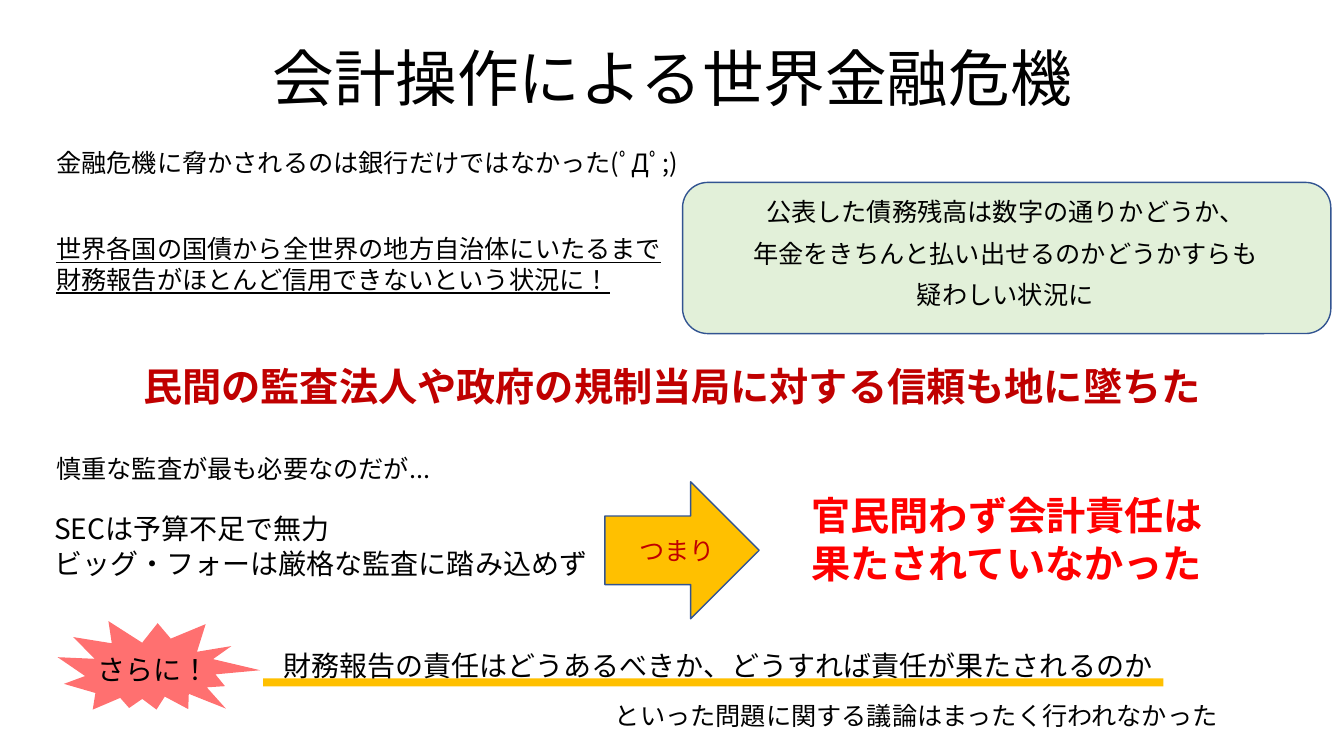
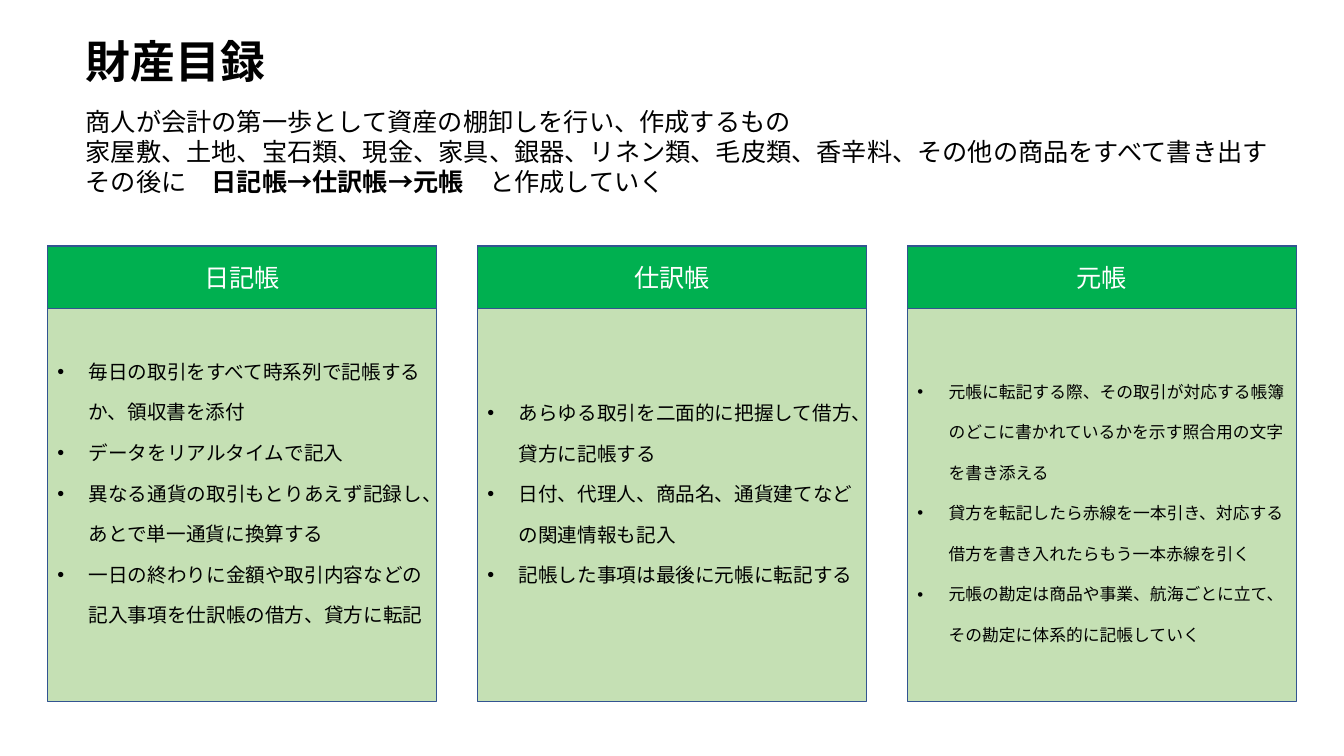
from dataclasses import dataclass
from typing import Optional

from lxml.etree import SubElement
from pptx import Presentation
from pptx.dml.color import RGBColor
from pptx.enum.shapes import MSO_SHAPE as Preset
from pptx.enum.text import MSO_ANCHOR as Anchor, MSO_AUTO_SIZE as AutoSize, PP_ALIGN as Align
from pptx.oxml.ns import qn
from pptx.util import Inches, Pt

FONT = "Noto Sans CJK JP"
BLACK, WHITE = "000000", "FFFFFF"
OUTLINE, AMBER = "325491", "FFC000"
DARK_RED, RED = "C00000", "FF0000"
PALE_GREEN, LIGHT_GREEN, GREEN = "E2F0D9", "C5E0B4", "00B050"
TITLE_AND_CONTENT = 1
LINE_RATIO = 1.22
LIST_INDENT = 0.31


@dataclass(frozen=True)
class Area:
    """Left, top, width and height in inches."""

    left: float
    top: float
    width: float
    height: float


@dataclass(frozen=True)
class Style:
    """Look of the paragraphs in one frame."""

    size: float = 18
    color: str = BLACK
    bold: bool = False
    underline: bool = False
    align: Align = Align.LEFT
    anchor: Anchor = Anchor.TOP
    leading: Optional[float] = None
    before: float = 0
    bulleted: bool = False


@dataclass(frozen=True)
class Note:
    """A text box with its lines."""

    area: Area
    lines: tuple[str, ...]
    style: Style = Style()


@dataclass(frozen=True)
class Book:
    """One account book: its name and its list."""

    name: str
    list_top: float
    list_height: float
    size: float
    items: tuple[str, ...]


LABEL = Style(align=Align.CENTER, anchor=Anchor.MIDDLE, color=WHITE)

CRISIS_NOTES = (
    Note(Area(0.46, 1.41, 7.18, 0.4), ("金融危機に脅かされるのは銀行だけではなかった(ﾟДﾟ;)",)),
    Note(
        Area(0.46, 2.26, 6.43, 0.71),
        ("世界各国の国債から全世界の地方自治体にいたるまで", "財務報告がほとんど信用できないという状況に！"),
        Style(underline=True),
    ),
    Note(
        Area(0, 3.54, 13.33, 0.57),
        ("民間の監査法人や政府の規制当局に対する信頼も地に墜ちた",),
        Style(28, DARK_RED, bold=True, align=Align.CENTER),
    ),
    Note(Area(0.46, 4.44, 4.09, 0.4), ("慎重な監査が最も必要なのだが...",)),
    Note(
        Area(2.71, 6.38, 8.93, 0.44),
        ("財務報告の責任はどうあるべきか、どうすれば責任が果たされるのか",),
        Style(20),
    ),
    Note(
        Area(0.44, 5.01, 5.56, 0.77),
        ("SECは予算不足で無力", "ビッグ・フォーは厳格な監査に踏み込めず"),
        Style(20, leading=25),
    ),
    Note(
        Area(7.95, 4.82, 4.51, 1.04),
        ("官民問わず会計責任は", "果たされていなかった"),
        Style(28, RED, bold=True),
    ),
    Note(Area(0.87, 6.42, 1.39, 0.44), ("さらに！",), Style(20)),
    Note(Area(6, 6.89, 6.34, 0.4), ("といった問題に関する議論はまったく行われなかった",)),
)

BOOKS = (
    Book("日記帳", 3.35, 2.95, 14, (
        "毎日の取引をすべて時系列で記帳するか、領収書を添付",
        "データをリアルタイムで記入",
        "異なる通貨の取引もとりあえず記録し、あとで単一通貨に換算する",
        "一日の終わりに金額や取引内容などの記入事項を仕訳帳の借方、貸方に転記",
    )),
    Book("仕訳帳", 3.76, 2.13, 14, (
        "あらゆる取引を二面的に把握して借方、貸方に記帳する",
        "日付、代理人、商品名、通貨建てなどの関連情報も記入",
        "記帳した事項は最後に元帳に転記する",
    )),
    Book("元帳", 3.53, 2.95, 12, (
        "元帳に転記する際、その取引が対応する帳簿のどこに書かれているかを示す照合用の文字を書き添える",
        "貸方を転記したら赤線を一本引き、対応する借方を書き入れたらもう一本赤線を引く",
        "元帳の勘定は商品や事業、航海ごとに立て、その勘定に体系的に記帳していく",
    )),
)


def rgb(code: str) -> RGBColor:
    """Turn a hex string into a colour."""
    return RGBColor.from_string(code)


def bounds(area: Area) -> tuple:
    """Give the four lengths of an area."""
    return Inches(area.left), Inches(area.top), Inches(area.width), Inches(area.height)


def format_span(span, style: Style, bold: bool) -> None:
    """Set the font of one run, for Latin and Japanese alike."""
    font = span.font
    font.name, font.size = FONT, Pt(style.size)
    font.bold, font.underline = bold, style.underline
    font.color.rgb = rgb(style.color)
    properties = font._element
    properties.set("lang", "ja-JP")
    SubElement(properties, qn("a:ea")).set("typeface", FONT)


def set_bullet(para, bulleted: bool) -> None:
    """Give a paragraph a hanging bullet, or none."""
    properties = para._p.get_or_add_pPr()
    indent = Inches(LIST_INDENT) if bulleted else 0
    properties.set("marL", str(indent))
    properties.set("indent", str(-indent))
    if bulleted:
        SubElement(properties, qn("a:buFont")).set("typeface", "Arial")
        SubElement(properties, qn("a:buChar")).set("char", "•")
    else:
        SubElement(properties, qn("a:buNone"))


def write_text(frame, lines: tuple[str, ...], style: Style) -> None:
    """Write one paragraph a line; bars enclose bold words."""
    frame.word_wrap = True
    frame.auto_size = AutoSize.NONE
    frame.vertical_anchor = style.anchor
    frame.text = "\n".join(line.split("|")[0] for line in lines)
    for para, line in zip(frame.paragraphs, lines):
        para.alignment = style.align
        para.line_spacing = Pt(style.leading or style.size * LINE_RATIO)
        para.space_before, para.space_after = Pt(style.before), Pt(0)
        set_bullet(para, style.bulleted)
        for part in line.split("|")[1:]:
            para.add_run().text = part
        for index, span in enumerate(para.runs):
            format_span(span, style, style.bold or index % 2 == 1)


def add_note(page, note: Note) -> None:
    """Draw a text box."""
    box = page.shapes.add_textbox(*bounds(note.area))
    write_text(box.text_frame, note.lines, note.style)


def fill_placeholder(page, box, note: Note) -> None:
    """Move a placeholder to the front and write its text."""
    box.left, box.top, box.width, box.height = bounds(note.area)
    page.shapes._spTree.append(box._element)
    write_text(box.text_frame, note.lines, note.style)


def add_box(page, preset: Preset, area: Area, fill: str, line: Optional[str] = OUTLINE):
    """Draw a filled preset shape without shadow."""
    box = page.shapes.add_shape(preset, *bounds(area))
    box.shadow.inherit = False
    box.fill.solid()
    box.fill.fore_color.rgb = rgb(fill)
    if line:
        box.line.color.rgb = rgb(line)
        box.line.width = Pt(1)
    else:
        box.line.fill.background()
    return box


def set_opacity(box, percent: int) -> None:
    """Make a solid fill see-through."""
    color = box._element.spPr.find(qn("a:solidFill"))[0]
    SubElement(color, qn("a:alpha")).set("val", str(percent * 1000))


def build_crisis_page(deck) -> None:
    """Build the slide on the financial crisis."""
    page = deck.slides.add_slide(deck.slide_layouts[TITLE_AND_CONTENT])
    add_box(page, Preset.ROUNDED_RECTANGLE, Area(6.77, 1.81, 6.43, 1.5), PALE_GREEN)
    fill_placeholder(page, page.shapes.title, Note(
        Area(0.92, 0.27, 11.5, 0.95),
        ("会計操作による世界金融危機",),
        Style(44, align=Align.CENTER, anchor=Anchor.MIDDLE, leading=55),
    ))
    fill_placeholder(page, page.placeholders[1], Note(
        Area(6.82, 1.93, 6.3, 1.28),
        ("公表した債務残高は数字の通りかどうか、", "年金をきちんと払い出せるのかどうかすらも", "疑わしい状況に"),
        Style(align=Align.CENTER, leading=19.5, before=10),
    ))
    add_box(page, Preset.RECTANGLE, Area(2.61, 6.73, 8.93, 0.08), AMBER, None)
    arrow = add_box(page, Preset.RIGHT_ARROW, Area(6, 4.78, 1.53, 1.36), AMBER)
    write_text(arrow.text_frame, ("つまり",),
               Style(color=DARK_RED, align=Align.RIGHT, anchor=Anchor.MIDDLE))
    burst = add_box(page, Preset.EXPLOSION2, Area(0.57, 6.1, 1.99, 1.07), RED, None)
    burst.rotation = 12.5
    set_opacity(burst, 56)
    for note in CRISIS_NOTES:
        add_note(page, note)


def add_book(page, book: Book, left: float) -> None:
    """Draw one account book as a headed panel."""
    top, width = 2.44, 3.86
    add_box(page, Preset.RECTANGLE, Area(left, top, width, 4.52), LIGHT_GREEN)
    header = add_box(page, Preset.RECTANGLE, Area(left, top, width, 0.62), GREEN)
    write_text(header.text_frame, (book.name,), LABEL)
    add_note(page, Note(
        Area(left, book.list_top, width, book.list_height),
        book.items,
        Style(book.size, leading=29, bulleted=True),
    ))


def build_inventory_page(deck) -> None:
    """Build the slide on the inventory and the three books."""
    page = deck.slides.add_slide(deck.slide_layouts[TITLE_AND_CONTENT])
    fill_placeholder(page, page.shapes.title, Note(
        Area(0.75, 0.28, 10.45, 0.64), ("財産目録",), Style(32, bold=True),
    ))
    fill_placeholder(page, page.placeholders[1], Note(
        Area(0.75, 1, 12.13, 1.01),
        (
            "商人が会計の第一歩として資産の棚卸しを行い、作成するもの",
            "家屋敷、土地、宝石類、現金、家具、銀器、リネン類、毛皮類、香辛料、その他の商品をすべて書き出す",
            "その後に　|日記帳→仕訳帳→元帳|　と作成していく",
        ),
        Style(leading=21.6),
    ))
    first_left, step = 0.47, 4.265
    for index, book in enumerate(BOOKS):
        add_book(page, book, first_left + index * step)


def main() -> None:
    """Build and save the deck."""
    deck = Presentation()
    deck.slide_width, deck.slide_height = Inches(13.33), Inches(7.5)
    build_crisis_page(deck)
    build_inventory_page(deck)
    deck.save("out.pptx")


if __name__ == "__main__":
    main()
